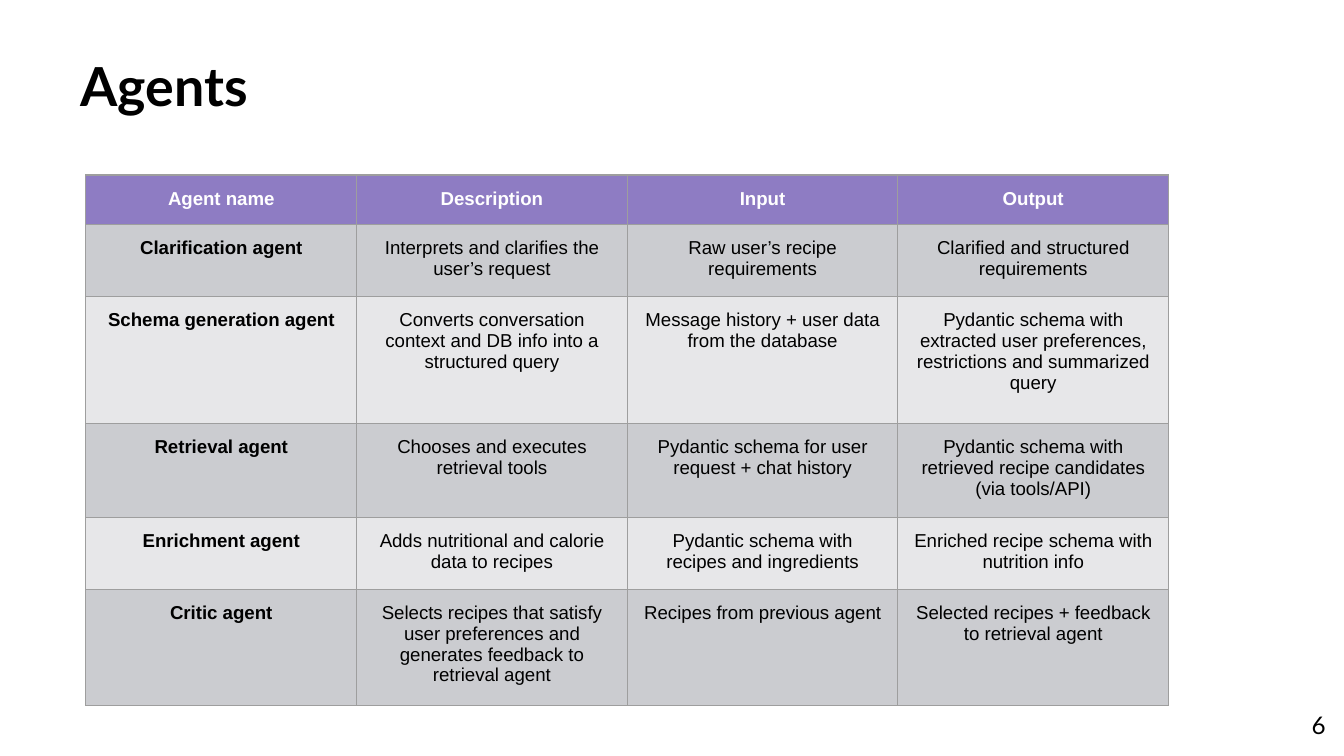
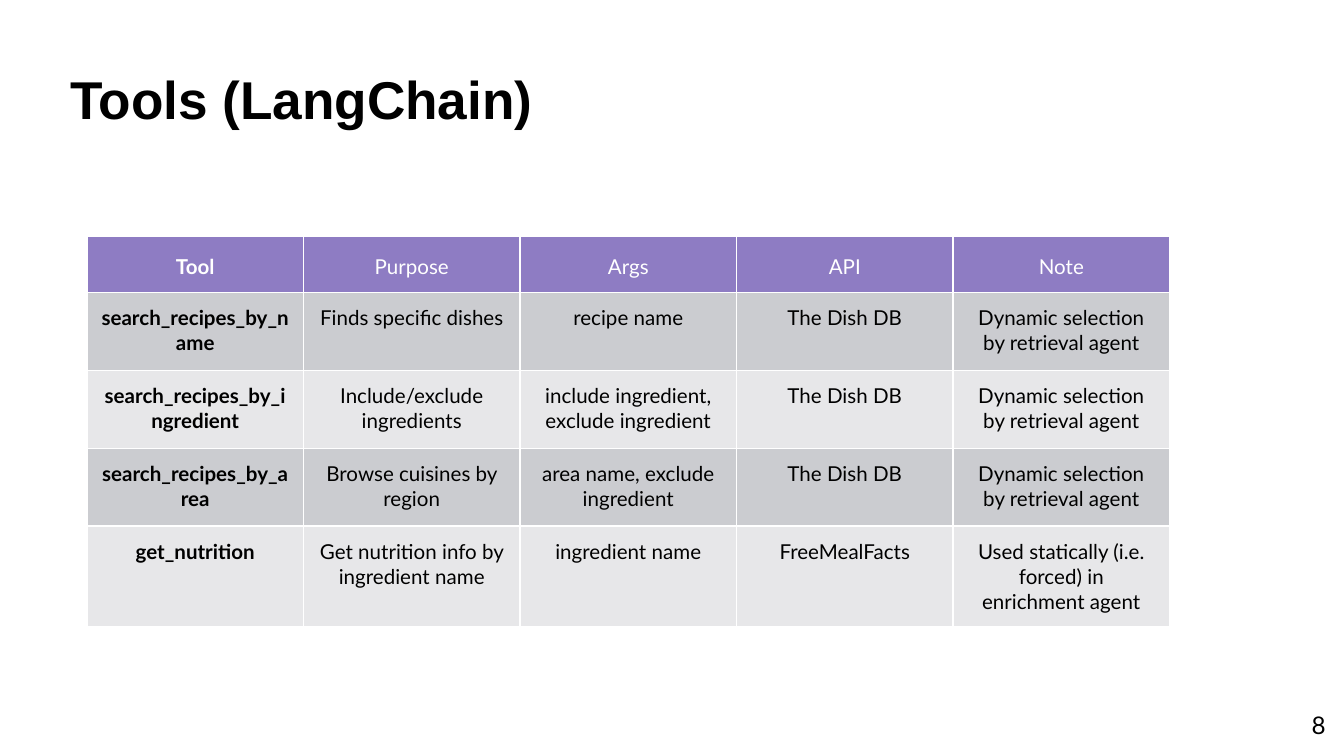
from dataclasses import dataclass
from typing import Any

from lxml import etree
from pptx import Presentation
from pptx.dml.color import RGBColor
from pptx.enum.text import MSO_ANCHOR, MSO_AUTO_SIZE, PP_ALIGN
from pptx.oxml.ns import qn
from pptx.util import Pt

LEFT, CENTER, RIGHT = PP_ALIGN.LEFT, PP_ALIGN.CENTER, PP_ALIGN.RIGHT
TOP, MIDDLE = MSO_ANCHOR.TOP, MSO_ANCHOR.MIDDLE
FIXED, GROW = MSO_AUTO_SIZE.NONE, MSO_AUTO_SIZE.SHAPE_TO_FIT_TEXT


@dataclass(frozen=True)
class Theme:
    ink: str = "000000"
    paper: str = "FFFFFF"
    head: str = "8E7CC3"
    bands: tuple[str, str] = ("CBCCD0", "E7E7E9")
    rule: str = "9E9E9E"
    sans: str = "Arial"
    lato: str = "Lato"
    number: float = 13
    pad: float = 7.2
    line: float = 0.75


THEME = Theme()


@dataclass(frozen=True)
class Box:
    left: float
    top: float
    width: float
    height: float

    def points(self) -> tuple:
        return Pt(self.left), Pt(self.top), Pt(self.width), Pt(self.height)


@dataclass(frozen=True)
class Face:
    name: str
    size: float
    color: str = THEME.ink
    bold: bool = False


@dataclass(frozen=True)
class Title:
    text: str
    box: Box
    face: Face
    frame: dict[str, Any]
    para: dict[str, Any]


@dataclass(frozen=True)
class Grid:
    left: float
    top: float
    column: float
    heights: list[float]
    font: str
    size: float
    border: str
    bold_heads: int
    head_para: dict[str, Any]
    rows: list[list[str]]


@dataclass(frozen=True)
class Page:
    number: int
    title: Title
    grid: Grid


def apply(target: Any, values: dict[str, Any]) -> None:
    for name, value in values.items():
        setattr(target, name, value)


def margins(side: float, end: float) -> dict[str, Any]:
    return {
        "margin_left": Pt(side), "margin_right": Pt(side),
        "margin_top": Pt(end), "margin_bottom": Pt(end),
    }


PADS = margins(THEME.pad, THEME.pad)


def write(frame: Any, text: str, face: Face, para: dict[str, Any]) -> None:
    line = frame.paragraphs[0]
    line.text = text
    apply(line, para)
    for run in line.runs:
        apply(run.font, {"name": face.name, "size": Pt(face.size), "bold": face.bold})
        run.font.color.rgb = RGBColor.from_string(face.color)


def edge(cell: Any, color: str) -> None:
    props = cell._tc.get_or_add_tcPr()
    for spot, side in enumerate(("lnL", "lnR", "lnT", "lnB")):
        line = etree.Element(qn(f"a:{side}"), w=str(Pt(THEME.line)))
        fill = etree.SubElement(line, qn("a:solidFill"))
        etree.SubElement(fill, qn("a:srgbClr"), val=color)
        props.insert(spot, line)


def add_title(slide: Any, title: Title) -> None:
    shape = slide.shapes.title
    places = ("left", "top", "width", "height")
    apply(shape, dict(zip(places, title.box.points())))
    apply(shape.text_frame, {"word_wrap": True, **title.frame})
    write(shape.text_frame, title.text, title.face, title.para)


def add_number(slide: Any, number: int) -> None:
    frame = slide.shapes.add_textbox(*Box(674, 373.5, 43.2, 31).points()).text_frame
    apply(frame, {"word_wrap": True, **PADS})
    write(frame, str(number), Face(THEME.lato, THEME.number), {"alignment": RIGHT})


def add_grid(slide: Any, grid: Grid) -> None:
    count = len(grid.rows[0])
    box = Box(grid.left, grid.top, grid.column * count, sum(grid.heights))
    table = slide.shapes.add_table(len(grid.rows), count, *box.points()).table
    apply(table, {"first_row": False, "horz_banding": False})
    for column in table.columns:
        column.width = Pt(grid.column)
    for y, (row, height) in enumerate(zip(grid.rows, grid.heights)):
        table.rows[y].height = Pt(height)
        head = y == 0
        fill = THEME.head if head else THEME.bands[(y - 1) % 2]
        color = THEME.paper if head else THEME.ink
        para = {"alignment": CENTER, **(grid.head_para if head else {})}
        for x, text in enumerate(row):
            cell = table.cell(y, x)
            apply(cell, {"vertical_anchor": TOP, **PADS})
            cell.fill.solid()
            cell.fill.fore_color.rgb = RGBColor.from_string(fill)
            edge(cell, grid.border)
            bold = x < (grid.bold_heads if head else 1)
            write(cell.text_frame, text, Face(grid.font, grid.size, color, bold), para)


def tool(name: str, purpose: str, args: str) -> list[str]:
    return [name, purpose, args, "The Dish DB", "Dynamic selection by retrieval agent"]


AGENTS = Page(
    6,
    Title(
        "Agents", Box(36, 24.5, 537, 42), Face(THEME.lato, 28.8, bold=True),
        {"vertical_anchor": MIDDLE, "auto_size": FIXED, **margins(7.2, 3.6)},
        {"alignment": LEFT},
    ),
    Grid(
        46, 93.8, 145, [22.5, 34, 68, 45, 34, 57],
        THEME.sans, 10, THEME.rule, 4, {},
        [
            ["Agent name", "Description", "Input", "Output"],
            ["Clarification agent", "Interprets and clarifies the user’s request",
             "Raw user’s recipe requirements", "Clarified and structured requirements"],
            ["Schema generation agent",
             "Converts conversation context and DB info into a structured query",
             "Message history + user data from the database",
             "Pydantic schema with extracted user preferences, "
             "restrictions and summarized query"],
            ["Retrieval agent", "Chooses and executes retrieval tools",
             "Pydantic schema for user request + chat history",
             "Pydantic schema with retrieved recipe candidates\n(via tools/API)"],
            ["Enrichment agent", "Adds nutritional and calorie data to recipes",
             "Pydantic schema with recipes and ingredients",
             "Enriched recipe schema with nutrition info"],
            ["Critic agent",
             "Selects recipes that satisfy user preferences and generates "
             "feedback to retrieval agent",
             "Recipes from previous agent",
             "Selected recipes + feedback to retrieval agent"],
        ],
    ),
)

TOOLS = Page(
    8,
    Title(
        "Tools (LangChain)", Box(30.5, 23, 359, 49), Face(THEME.sans, 28.5, bold=True),
        {"vertical_anchor": TOP, "auto_size": GROW, **PADS},
        {"alignment": LEFT, "line_spacing": 1.15,
         "space_before": Pt(18), "space_after": Pt(4)},
    ),
    Grid(
        46.6, 126.9, 116, [22.5] + [41.8] * 4,
        THEME.lato, 11, THEME.paper, 1, {"line_spacing": 1.15},
        [
            ["Tool", "Purpose", "Args", "API", "Note"],
            tool("search_recipes_by_name", "Finds specific dishes", "recipe name"),
            tool("search_recipes_by_ingredient", "Include/exclude ingredients",
                 "include ingredient, exclude ingredient"),
            tool("search_recipes_by_area", "Browse cuisines by region",
                 "area name, exclude ingredient"),
            ["get_nutrition", "Get nutrition info by ingredient name",
             "ingredient name", "FreeMealFacts",
             "Used statically (i.e. forced) in enrichment agent"],
        ],
    ),
)


def main() -> None:
    deck = Presentation()
    apply(deck, {"slide_width": Pt(720), "slide_height": Pt(405)})
    for page in (AGENTS, TOOLS):
        slide = deck.slides.add_slide(deck.slide_layouts.get_by_name("Title Only"))
        add_title(slide, page.title)
        add_number(slide, page.number)
        add_grid(slide, page.grid)
    deck.save("out.pptx")


if __name__ == "__main__":
    main()
